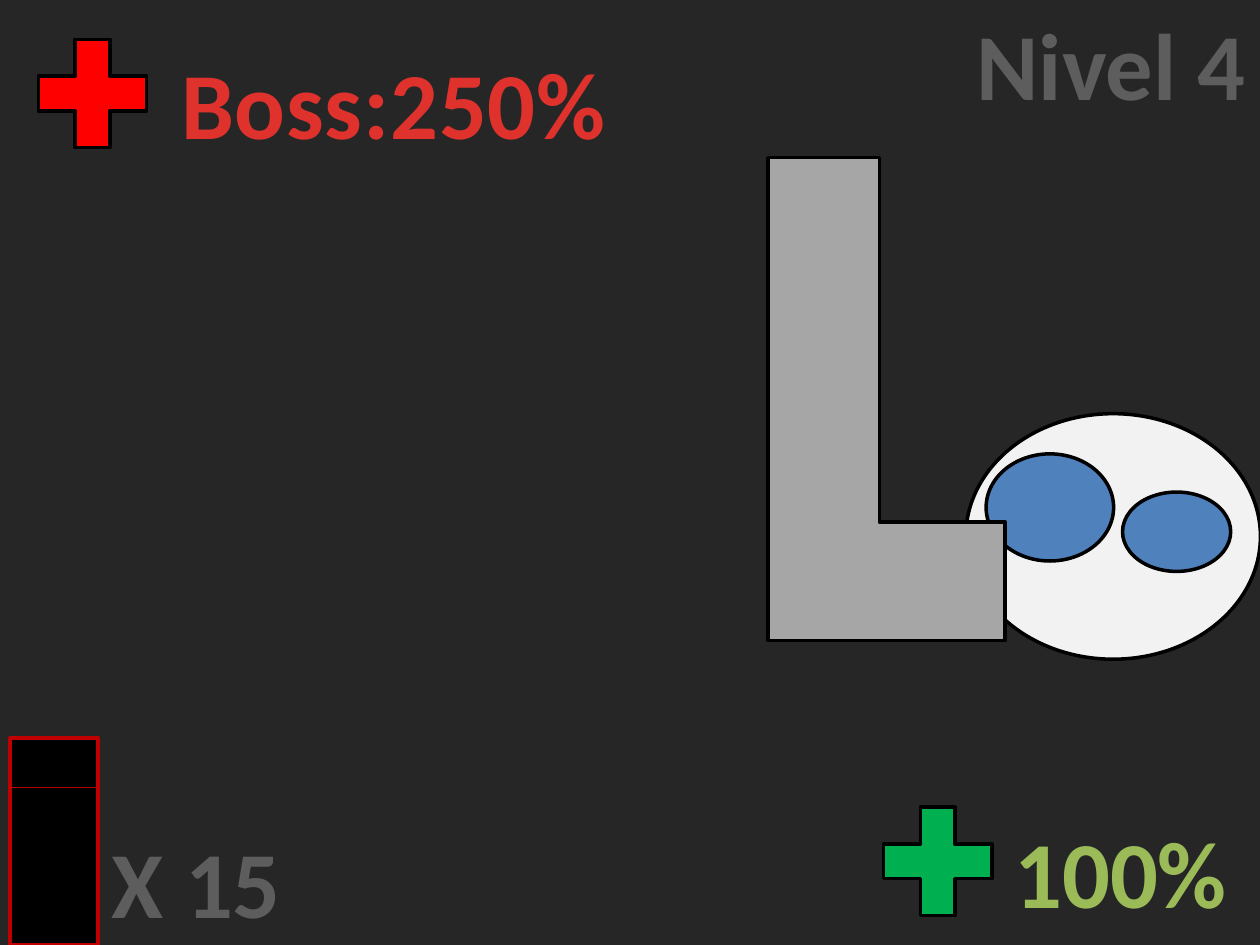
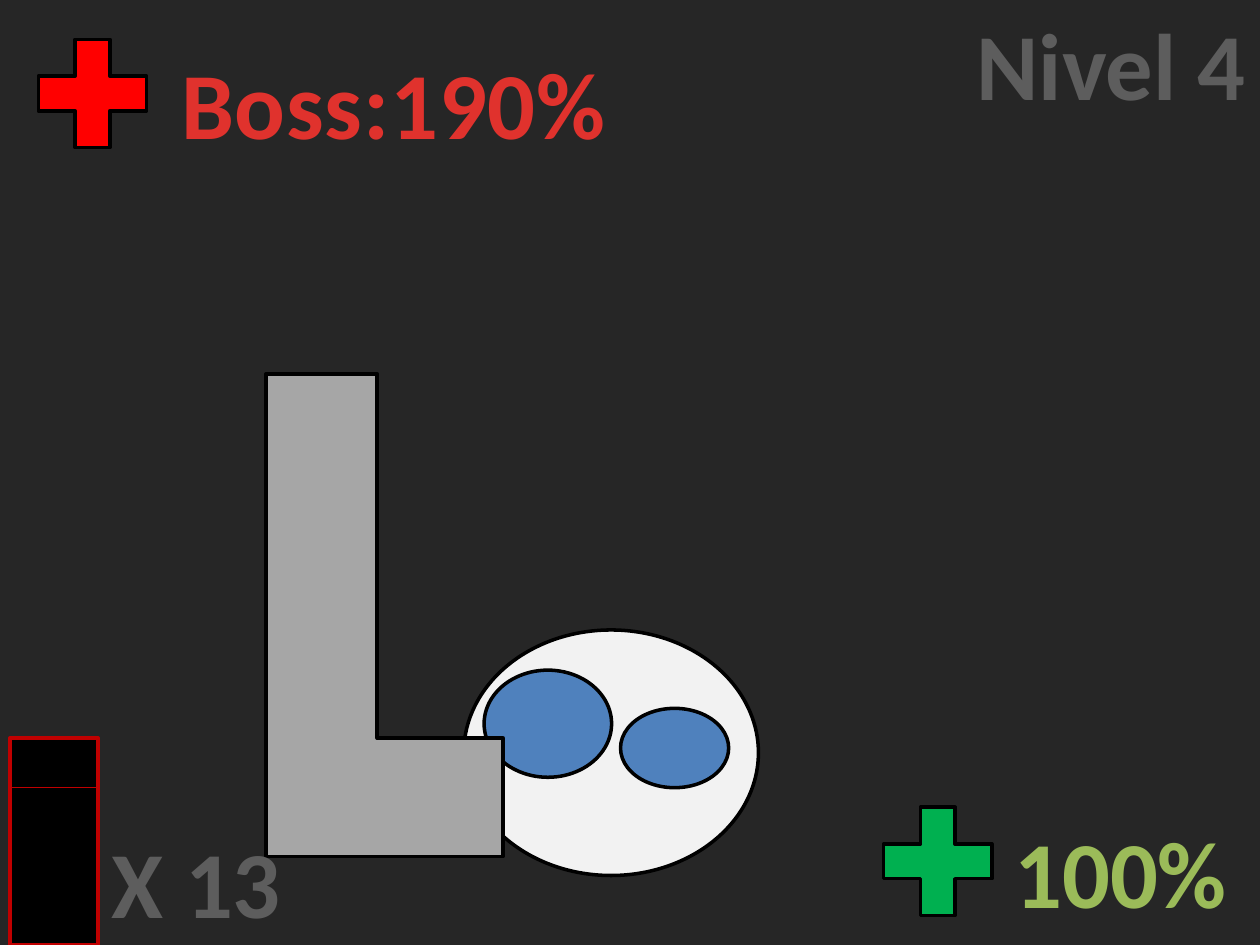
from lxml.etree import SubElement
from pptx import Presentation
from pptx.dml.color import RGBColor
from pptx.enum.shapes import MSO_CONNECTOR as Line, MSO_SHAPE as Shape
from pptx.enum.text import MSO_AUTO_SIZE as AutoSize, PP_ALIGN as Align
from pptx.oxml.ns import qn
from pptx.util import Cm, Pt

BACKDROP = RGBColor(0x26, 0x26, 0x26)
BLACK = RGBColor(0x00, 0x00, 0x00)
HEAD_WHITE = RGBColor(0xF2, 0xF2, 0xF2)
EYE_BLUE = RGBColor(0x4F, 0x81, 0xBD)
LEG_GREY = RGBColor(0xA6, 0xA6, 0xA6)
GAUGE_RED = RGBColor(0xC0, 0x00, 0x00)
BOSS_RED = RGBColor(0xFF, 0x00, 0x00)
PLAYER_GREEN = RGBColor(0x00, 0xB0, 0x50)
LABEL_GREY = RGBColor(0x5D, 0x5D, 0x5D)
LABEL_RED = RGBColor(0xE0, 0x32, 0x2D)
LABEL_GREEN = RGBColor(0x9B, 0xBB, 0x59)

FONT = "Calibri"
LABEL_HEIGHT = 2.57
PLUS_SIZE = 2.97

# All lengths are in centimetres.
SCREENS = [
    {"level": "Nivel 4", "boss": "Boss:250%", "ammo": "X 15",
     "player": "100%", "boss_at": (15.48, 3.18)},
    {"level": "Nivel 4", "boss": "Boss:190%", "ammo": "X 13",
     "player": "100%", "boss_at": (5.36, 7.54)},
]
# Shape, fill, then left, top, width and height from the boss's corner
BOSS_PARTS = [
    (Shape.OVAL, HEAD_WHITE, (3.99, 5.16, 5.94, 4.95)),
    (Shape.OVAL, EYE_BLUE, (4.4, 5.97, 2.57, 2.16)),
    (Shape.OVAL, EYE_BLUE, (7.15, 6.74, 2.18, 1.6)),
    (Shape.CORNER, LEG_GREY, (0, 0, 4.78, 9.73)),
]
CORNER_ADJUSTMENTS = (0.5, 0.47)
GAUGE = (0.2, 14.88, 1.78, 4.17)
GAUGE_MARK = 15.88


def add_solid(shapes, kind, place, fill, outline=BLACK):
    shape = shapes.add_shape(kind, *map(Cm, place))
    shape.shadow.inherit = False
    shape.fill.solid()
    shape.fill.fore_color.rgb = fill
    shape.line.color.rgb = outline
    shape.line.width = Pt(2)
    return shape


def add_label(shapes, text, left, top, width, color, spacing=0):
    """Add a bold centred label; spacing is in hundredths of a point."""
    box = shapes.add_textbox(*map(Cm, (left, top, width, LABEL_HEIGHT)))
    frame = box.text_frame
    frame.word_wrap = False
    frame.auto_size = AutoSize.SHAPE_TO_FIT_TEXT
    para = frame.paragraphs[0]
    para.alignment = Align.CENTER
    span = para.add_run()
    span.text = text
    span.font.name = FONT
    span.font.size = Pt(54)
    span.font.bold = True
    span.font.color.rgb = color
    if spacing:
        span._r.get_or_add_rPr().set("spc", str(spacing))


def add_plus(shapes, left, top, fill):
    add_solid(shapes, Shape.MATH_PLUS, (left, top, PLUS_SIZE, PLUS_SIZE), fill)


def add_boss(page, corner):
    shapes = page.shapes.add_group_shape().shapes
    for kind, fill, (left, top, width, height) in BOSS_PARTS:
        place = (corner[0] + left, corner[1] + top, width, height)
        part = add_solid(shapes, kind, place, fill)
        if kind == Shape.CORNER:
            for index, value in enumerate(CORNER_ADJUSTMENTS):
                part.adjustments[index] = value


def add_ammo(page, text):
    shapes = page.shapes.add_group_shape().shapes
    add_solid(shapes, Shape.RECTANGLE, GAUGE, BLACK, GAUGE_RED)
    left, right = GAUGE[0], GAUGE[0] + GAUGE[2]
    mark = shapes.add_connector(
        Line.STRAIGHT, *map(Cm, (left, GAUGE_MARK, right, GAUGE_MARK)))
    mark.line.color.rgb = GAUGE_RED
    mark.line.width = Pt(0.75)
    SubElement(mark._element.spPr, qn("a:effectLst"))
    add_label(shapes, text, right, 16.48, 3.96, LABEL_GREY)


def add_screen(deck, screen):
    page = deck.slides.add_slide(deck.slide_layouts[6])
    page.background.fill.solid()
    page.background.fill.fore_color.rgb = BACKDROP

    add_boss(page, screen["boss_at"])
    add_ammo(page, screen["ammo"])

    boss_health = page.shapes.add_group_shape().shapes
    add_label(boss_health, screen["boss"], 3.35, 0.79, 9.17, LABEL_RED, 50)
    add_plus(boss_health, 0.38, 0.4, BOSS_RED)

    add_label(page.shapes, screen["level"], 19.41, 0, 5.99, LABEL_GREY)

    player_health = page.shapes.add_group_shape().shapes
    add_plus(player_health, 17.42, 15.88, PLAYER_GREEN)
    add_label(player_health, screen["player"], 20.17, 16.28, 4.85, LABEL_GREEN)


def main():
    deck = Presentation()
    deck.slide_width, deck.slide_height = Cm(25.4), Cm(19.05)
    for screen in SCREENS:
        add_screen(deck, screen)
    deck.save("out.pptx")


if __name__ == "__main__":
    main()
